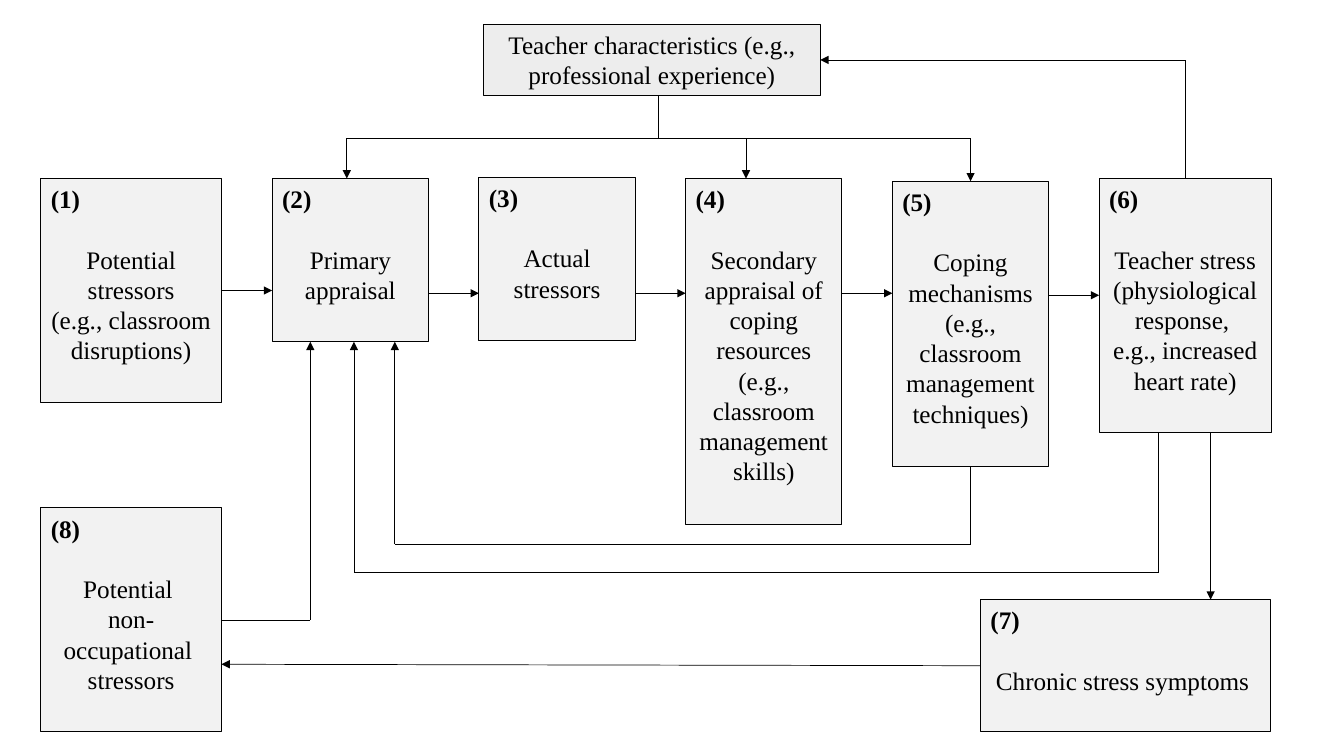
from dataclasses import dataclass
from itertools import pairwise

from lxml import etree
from pptx import Presentation
from pptx.dml.color import RGBColor
from pptx.enum import shapes, text
from pptx.oxml import ns
from pptx.util import Cm, Pt


@dataclass(frozen=True)
class Theme:
    font: str = "Times New Roman"
    size: float = 18
    leading: float = 21.6
    ink: str = "000000"
    header: str = "EDEDED"
    stage: str = "F2F2F2"
    border: float = 0.75
    arrow: float = 0.5


THEME = Theme()
TOP, BOTTOM, LEFT, RIGHT = 0, 2, 1, 3

# Lengths are in centimetres. Stages 2 to 6 stand in evenly spaced columns.
COLUMN_LEFT, COLUMN_PITCH, COLUMN_WIDTH = 6.86, 5.21, 3.94
COLUMNS = [  # number, top, width, height, paragraphs
    ("(2)", 4.5, COLUMN_WIDTH, 4.11, ["Primary appraisal"]),
    ("(3)", 4.47, COLUMN_WIDTH, 4.11, ["Actual stressors"]),
    ("(4)", 4.5, COLUMN_WIDTH, 8.71,
     ["Secondary appraisal of coping resources (e.g., classroom management skills)"]),
    ("(5)", 4.57, COLUMN_WIDTH, 7.19,
     ["Coping", "mechanisms (e.g., classroom management techniques)"]),
    ("(6)", 4.5, 4.34, 6.4,
     ["Teacher stress", "(physiological response, ", "e.g., increased heart rate)"]),
]
OUTER_BOXES = [  # number, left, top, width, height, paragraphs
    ("", 12.19, 0.61, 8.48, 1.8,
     ["Teacher characteristics (e.g., professional experience)"]),
    ("(1)", 1.03, 4.5, 4.55, 5.64,
     ["Potential stressors", "(e.g., classroom disruptions)"]),
    ("(8)", 1.03, 12.8, 4.55, 5.64,
     ["Potential ", "non-occupational ", "stressors"]),
    ("(7)", 24.71, 15.11, 7.32, 3.33, ["Chronic stress symptoms "]),
]
STEP_HEIGHTS = [7.39, 7.39, 7.39, 7.44]
BRANCH = (16.59, 3.48)
# A stop is a point, or a box number with the side whose middle is joined.
ROUTES = [
    [("(1)", RIGHT), (6.86, 7.32)],
    [("(5)", BOTTOM), (24.46, 13.72), (9.95, 13.72), (9.95, 8.61)],
    [(29.18, 10.9), (29.18, 14.43), (8.92, 14.43), (8.92, 8.61)],
    [BRANCH, (8.74, 3.48), (8.74, 4.5)],
    [BRANCH, (24.46, 3.48), ("(5)", TOP)],
    [(18.8, 3.48), (18.8, 4.5)],
    [("(6)", TOP), (29.87, 1.51), ("", RIGHT)],
    [(30.51, 10.9), (30.51, 15.11)],
    [("(7)", LEFT), (5.58, 16.74)],
    [("(8)", RIGHT), (7.82, 15.62), (7.82, 8.61)],
]
STEM = [(16.59, 2.41), BRANCH]


def add_box(page, number, left, top, width, height, paragraphs):
    box = page.shapes.add_shape(
        shapes.MSO_SHAPE.RECTANGLE, Cm(left), Cm(top), Cm(width), Cm(height))
    box.shadow.inherit = False
    box.fill.solid()
    box.fill.fore_color.rgb = RGBColor.from_string(
        THEME.stage if number else THEME.header)
    box.line.color.rgb = RGBColor.from_string(THEME.ink)
    box.line.width = Pt(THEME.border)
    frame = box.text_frame
    frame.word_wrap = True
    frame.auto_size = text.MSO_AUTO_SIZE.SHAPE_TO_FIT_TEXT
    frame.vertical_anchor = text.MSO_ANCHOR.TOP
    lines = [number, *paragraphs] if number else paragraphs
    for index, line in enumerate(lines):
        para = frame.paragraphs[0] if index == 0 else frame.add_paragraph()
        para.text = line
        is_number = line == number
        para.alignment = text.PP_ALIGN.LEFT if is_number else text.PP_ALIGN.CENTER
        para.line_spacing = Pt(THEME.leading)
        para.space_after = Pt(THEME.leading if is_number else 0)
        para.font.name = THEME.font
        para.font.size = Pt(THEME.size)
        para.font.bold = is_number
        para.font.color.rgb = RGBColor.from_string(THEME.ink)
    return box


def add_route(page, boxes, stops, arrow=True):
    """Draw straight segments through the stops, with an arrowhead at the last."""
    for index, (start, end) in enumerate(pairwise(stops)):
        points = [(0, 0) if isinstance(stop[0], str) else stop for stop in (start, end)]
        line = page.shapes.add_connector(
            shapes.MSO_CONNECTOR.STRAIGHT,
            *(Cm(value) for point in points for value in point))
        for stop, join in ((start, line.begin_connect), (end, line.end_connect)):
            if isinstance(stop[0], str):
                join(boxes[stop[0]], stop[1])
        line.line.color.rgb = RGBColor.from_string(THEME.ink)
        line.line.width = Pt(THEME.arrow)
        properties = line._element.spPr
        if arrow and index == len(stops) - 2:
            etree.SubElement(properties.find(ns.qn("a:ln")),
                             ns.qn("a:tailEnd"), type="triangle")
        etree.SubElement(properties, ns.qn("a:effectLst"))


def main():
    deck = Presentation()
    deck.slide_width, deck.slide_height = Cm(33.87), Cm(19.05)
    page = deck.slides.add_slide(deck.slide_layouts[6])

    boxes = {item[0]: add_box(page, *item) for item in OUTER_BOXES}
    for index, (number, *rest) in enumerate(COLUMNS):
        left = COLUMN_LEFT + index * COLUMN_PITCH
        boxes[number] = add_box(page, number, left, *rest)

    for index, height in enumerate(STEP_HEIGHTS):
        left = COLUMN_LEFT + index * COLUMN_PITCH
        add_route(page, boxes, [(left + COLUMN_WIDTH, height),
                                (left + COLUMN_PITCH, height)])
    add_route(page, boxes, STEM, arrow=False)
    for stops in ROUTES:
        add_route(page, boxes, stops)
    deck.save("out.pptx")


if __name__ == "__main__":
    main()
